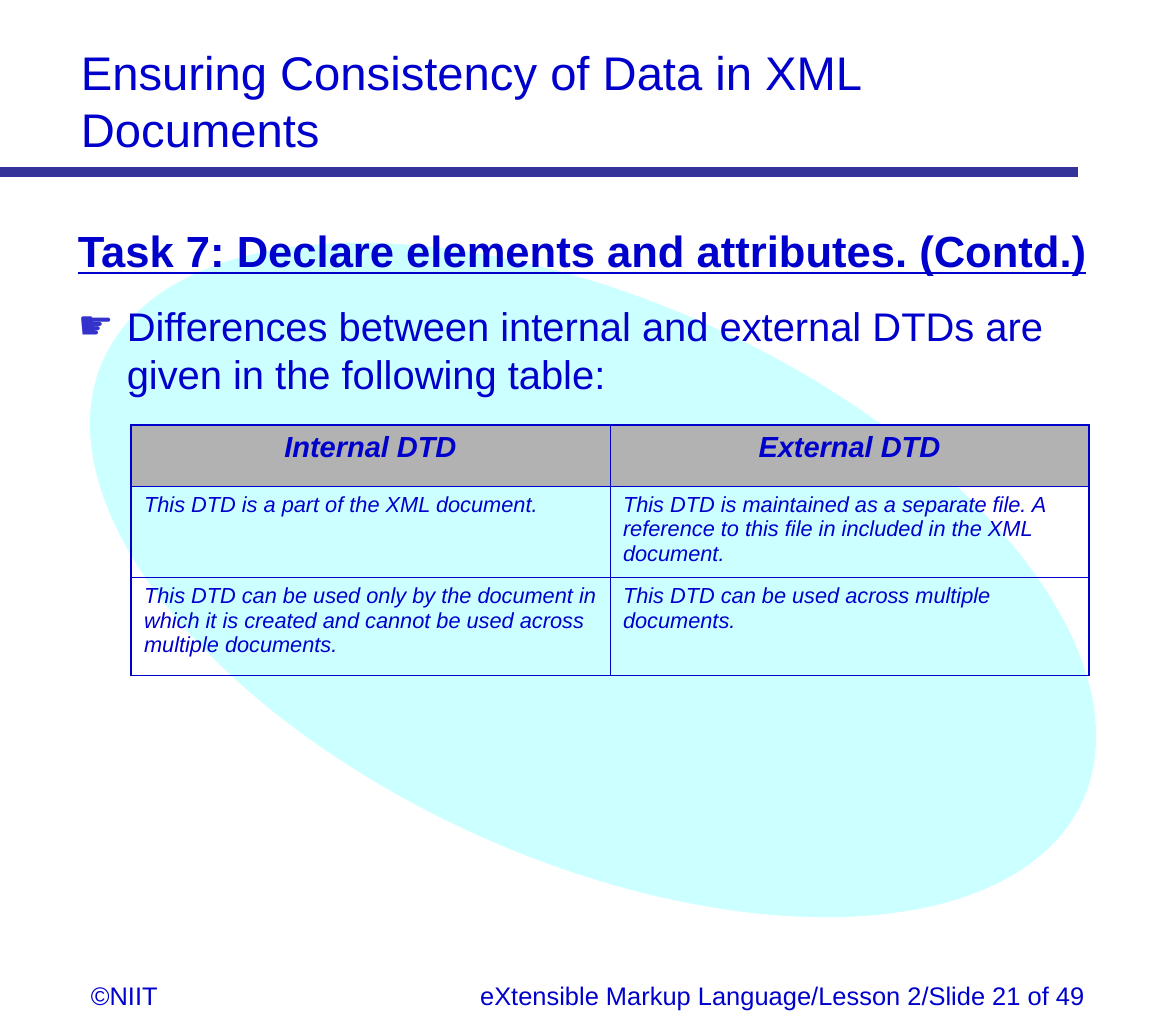
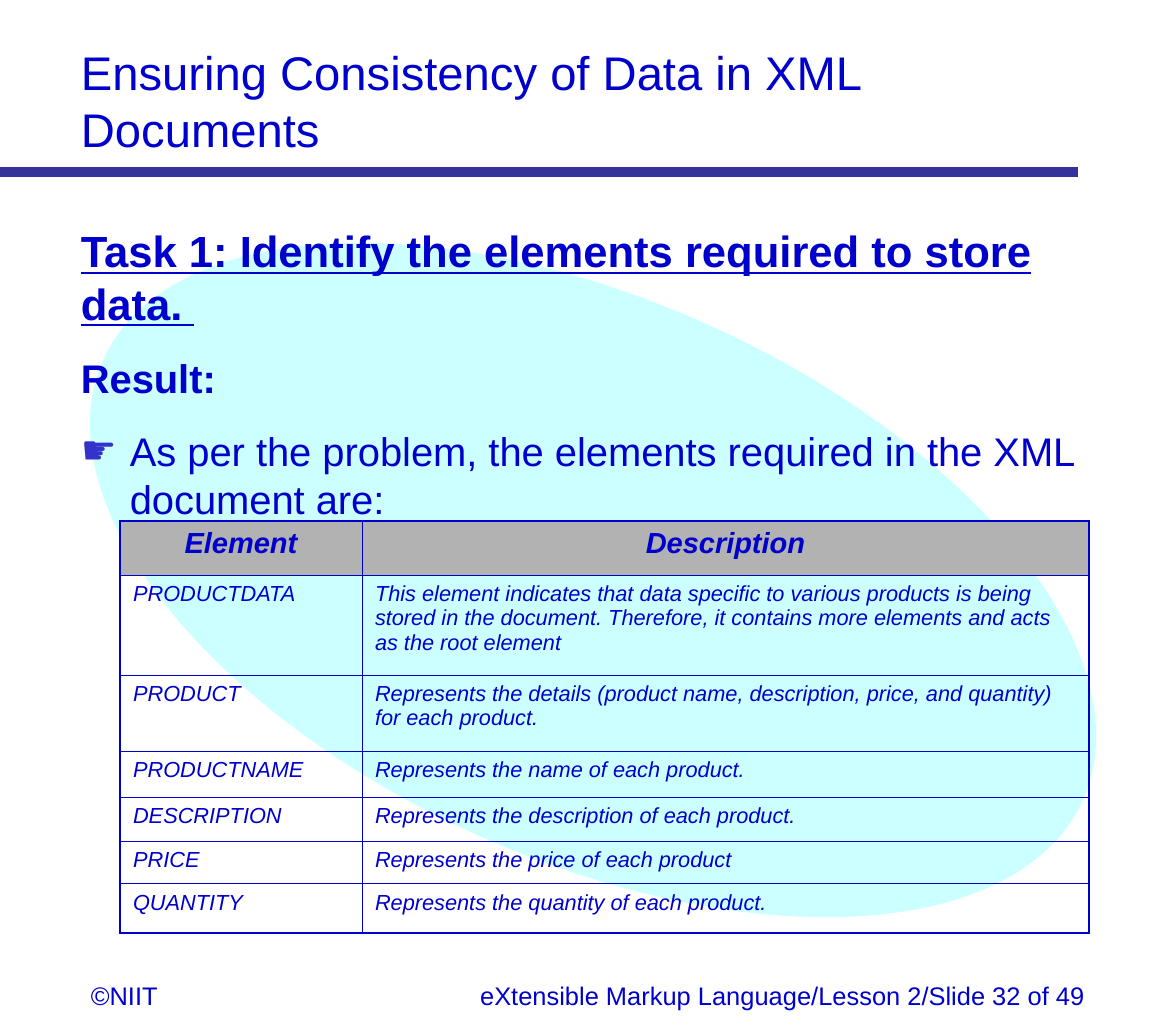
import pptx
import pptx.dml.color
import pptx.enum.shapes
import pptx.enum.text
import pptx.oxml.ns
import pptx.util
from lxml import etree

PIXEL = 914400 / 130.7
FONT = "Arial"
TEXT_BLUE = "0000CC"
BAR_BLUE = "333399"
BULLET_BLUE = "3333CC"
PALE_CYAN = "CCFFFF"
HEADER_GREY = "B2B2B2"
OUTER_LINE, INNER_LINE = 1.08, 0.45
HANGING_INDENT = 49
LEFT, RIGHT, CENTER = (pptx.enum.text.PP_ALIGN.LEFT, pptx.enum.text.PP_ALIGN.RIGHT,
                       pptx.enum.text.PP_ALIGN.CENTER)


def px(length):
    return pptx.util.Emu(round(length * PIXEL))


def color(hex_string):
    return pptx.dml.color.RGBColor.from_string(hex_string)


def add_element(parent, tag, **attributes):
    element = etree.SubElement(parent, pptx.oxml.ns.qn(tag))
    for name, value in attributes.items():
        element.set(name, str(value))
    return element


def write(frame, text, size=22, bold=False, italic=False, underline=False, align=LEFT,
          before=0, hanging=False, bullet=None):
    """Fill the empty first paragraph of a frame, or append a new one."""
    paragraph = frame.paragraphs[0]
    if paragraph.runs:
        paragraph = frame.add_paragraph()
        paragraph.space_before = pptx.util.Pt(before)
    properties = paragraph._p.get_or_add_pPr()
    if hanging:
        properties.set("marL", str(px(HANGING_INDENT)))
        properties.set("indent", str(-px(HANGING_INDENT)))
    if bullet:
        bullet_color = add_element(properties, "a:buClr")
        add_element(bullet_color, "a:srgbClr", val=BULLET_BLUE)
        add_element(properties, "a:buFont", typeface=FONT)
        add_element(properties, "a:buChar", char=bullet)
    paragraph.alignment = align
    run = paragraph.add_run()
    run.text = text
    run.font.name = FONT
    run.font.size = pptx.util.Pt(size)
    run.font.bold = bold
    run.font.italic = italic
    run.font.underline = underline
    run.font.color.rgb = color(TEXT_BLUE)


class Deck:
    def __init__(self, width, height):
        self.presentation = pptx.Presentation()
        self.presentation.slide_width = px(width)
        self.presentation.slide_height = px(height)
        self.slide = None

    def add_slide(self, number):
        """Start a slide with the shared backdrop, title, footers and bar."""
        self.slide = self.presentation.slides.add_slide(self.presentation.slide_layouts[6])
        self.add_ellipse(313, 43, 560, 1074, rotation=294.2)
        write(self.add_text_box(68, 37, 1019, 127),
              "Ensuring Consistency of Data in XML Documents", size=26)
        write(self.add_text_box(78, 974, 146, 45), "©NIIT", size=14)
        write(self.add_text_box(412, 974, 686, 45),
              f"eXtensible Markup Language/Lesson 2/Slide {number} of 49", size=14, align=RIGHT)
        self.add_bar(0, 172, 1078)

    def add_ellipse(self, left, top, width, height, rotation):
        shape = self.slide.shapes.add_shape(pptx.enum.shapes.MSO_SHAPE.OVAL,
                                            px(left), px(top), px(width), px(height))
        shape.rotation = rotation
        shape.shadow.inherit = False
        shape.fill.solid()
        shape.fill.fore_color.rgb = color(PALE_CYAN)
        shape.line.fill.background()

    def add_bar(self, left, top, right):
        connector = self.slide.shapes.add_connector(
            pptx.enum.shapes.MSO_CONNECTOR.STRAIGHT, px(left), px(top), px(right), px(top))
        connector.line.color.rgb = color(BAR_BLUE)
        connector.line.width = pptx.util.Pt(5)
        add_element(connector._element.spPr, "a:effectLst")

    def add_text_box(self, left, top, width, height):
        shape = self.slide.shapes.add_textbox(px(left), px(top), px(width), px(height))
        shape.text_frame.word_wrap = True
        return shape.text_frame

    def add_body(self, left, paragraphs):
        frame = self.add_text_box(left, 218, 1039, 734)
        for text, style in paragraphs:
            write(frame, text, hanging=True, **style)

    def add_table(self, left, top, widths, heights, rows):
        shape = self.slide.shapes.add_table(len(heights), len(widths), px(left), px(top),
                                            px(sum(widths)), px(sum(heights)))
        table = shape.table
        table.first_row = table.horz_banding = False
        for column, width in zip(table.columns, widths):
            column.width = px(width)
        for row, height in zip(table.rows, heights):
            row.height = px(height)
        last_row, last_column = len(heights) - 1, len(widths) - 1
        for row_index, texts in enumerate(rows):
            for column_index, text in enumerate(texts):
                cell = table.cell(row_index, column_index)
                self.add_borders(cell, L=column_index == 0, R=column_index == last_column,
                                 T=row_index == 0, B=row_index == last_row)
                if row_index == 0:
                    cell.fill.solid()
                    cell.fill.fore_color.rgb = color(HEADER_GREY)
                    style = dict(size=16, bold=True, align=CENTER)
                else:
                    cell.fill.background()
                    style = dict(size=12)
                write(cell.text_frame, text, italic=True, **style)

    def add_borders(self, cell, **outer_sides):
        properties = cell._tc.get_or_add_tcPr()
        for side, is_outer in outer_sides.items():
            width = pptx.util.Pt(OUTER_LINE if is_outer else INNER_LINE)
            line = add_element(properties, f"a:ln{side}", w=int(width))
            add_element(add_element(line, "a:solidFill"), "a:srgbClr", val=TEXT_BLUE)


TASK = dict(size=24, bold=True, underline=True)
RESULT = dict(bold=True, before=13.8)
POINT = dict(bullet="☛", before=13.8)


def main():
    deck = Deck(1176, 1031)

    # Internal and external DTDs
    deck.add_slide(21)
    deck.add_body(65, [
        ("Task 7: Declare elements and attributes. (Contd.)", TASK),
        ("Differences between internal and external DTDs are given in the following table:",
         POINT),
    ])
    deck.add_table(131, 425, [479, 479], [61, 91, 98], [
        ("Internal DTD", "External DTD"),
        ("This DTD is a part of the XML document.",
         "This DTD is maintained as a separate file. A reference to this file in included "
         "in the XML document."),
        ("This DTD can be used only by the document in which it is created and cannot be "
         "used across multiple documents.",
         "This DTD can be used across multiple documents."),
    ])

    # Elements required in the document
    deck.add_slide(32)
    deck.add_body(68, [
        ("Task 1: Identify the elements required to store", TASK),
        ("data. ", TASK),
        ("Result:", RESULT),
        ("As per the problem, the elements required in the XML document are:", POINT),
    ])
    deck.add_table(120, 521, [242, 727], [54, 100, 76, 46, 44, 43, 49], [
        ("Element", "Description"),
        ("PRODUCTDATA",
         "This element indicates that data specific to various products is being stored in "
         "the document. Therefore, it contains more elements and acts as the root element"),
        ("PRODUCT",
         "Represents the details (product name, description, price, and quantity) for each "
         "product."),
        ("PRODUCTNAME", "Represents the name of each product."),
        ("DESCRIPTION", "Represents the description of each product."),
        ("PRICE", "Represents the price of each product"),
        ("QUANTITY", "Represents the quantity of each product."),
    ])

    deck.presentation.save("out.pptx")


if __name__ == "__main__":
    main()
